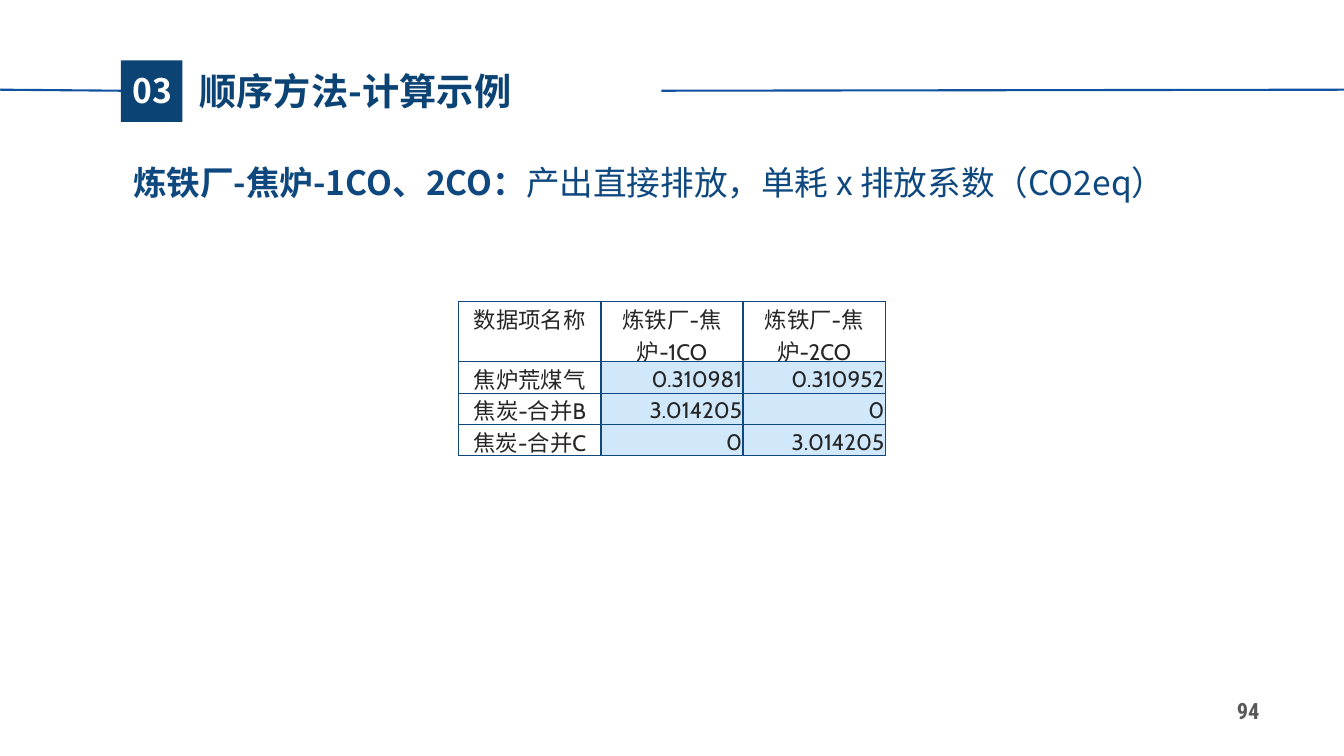
from lxml import etree
from pptx import Presentation
from pptx import util as u
from pptx.dml.color import RGBColor
from pptx.enum import shapes, text
from pptx.oxml import ns

WIDTH, HEIGHT = 13.33, 7.5
NAVY, INK, RULE, PALE = "0C4375", "0E487F", "1052A0", "D1E7FA"
CJK = "Noto Sans CJK SC"
LEFT, CENTER, RIGHT = text.PP_ALIGN.LEFT, text.PP_ALIGN.CENTER, text.PP_ALIGN.RIGHT
MIDDLE, TOP, BOTTOM = text.MSO_ANCHOR.MIDDLE, text.MSO_ANCHOR.TOP, text.MSO_ANCHOR.BOTTOM

HEADING = dict(size=26.6, name=CJK, color=NAVY, bold=True)
BADGE = dict(size=24, name=CJK, color="FFFFFF", bold=True)
LEAD = dict(size=24, name=CJK, color=INK, bold=True)
PAGE_NUMBER = dict(size=16, name="Roboto Condensed", color="595959", bold=True)
CELL = dict(size=16, name="Cabin", color="262626", bold=False)

RULES = [((0, 0.89), (1.2, 0.9)), ((6.56, 0.9), (WIDTH, 0.89))]
BADGE_SQUARE = (1.2, 0.6, 0.61, 0.61)
# place, runs, paragraph format, frame format
TEXTS = [
    ((12.07, 6.87, 0.62, 0.36), [("94", PAGE_NUMBER)],
     dict(alignment=CENTER), dict(vertical_anchor=MIDDLE)),
    ((1.88, 0.63, 3.6, 0.55), [("顺序方法-计算示例", HEADING)],
     dict(alignment=LEFT), dict(margin_right=0)),
    ((1.19, 0.64, 0.64, 0.5), [("03", BADGE)], dict(alignment=CENTER), {}),
    ((1.19, 1.34, 10.85, 0.67),
     [("炼铁厂-焦炉-1CO、2CO：", LEAD),
      ("产出直接排放，单耗 x 排放系数（CO2eq）", LEAD | dict(bold=False))],
     dict(alignment=LEFT, line_spacing=1.5),
     dict(margin_left=u.Inches(0.13), margin_right=u.Inches(0.13),
          margin_top=u.Inches(0.07), margin_bottom=u.Inches(0.07))),
]
EMISSIONS = [
    ("数据项名称", "炼铁厂-焦炉-1CO", "炼铁厂-焦炉-2CO"),
    ("焦炉荒煤气", "0.310981", "0.310952"),
    ("焦炭-合并B", "3.014205", "0"),
    ("焦炭-合并C", "0", "3.014205"),
]
TABLE_TOP, COLUMN, HEAD_ROW, BODY_ROW = 2.99, 1.41, 0.6, 0.31


def rgb(value):
    return RGBColor.from_string(value)


def inches(values):
    return [u.Inches(value) for value in values]


def assign(target, values):
    for name, value in values.items():
        setattr(target, name, value)


def add_span(para, words, style):
    """Add a run whose Latin and East Asian fonts are both set."""
    span = para.add_run()
    span.text = words
    assign(span.font, dict(size=u.Pt(style["size"]), name=style["name"], bold=style["bold"]))
    span.font.color.rgb = rgb(style["color"])
    etree.SubElement(span.font._element, ns.qn("a:ea"), typeface=CJK)


def add_text(page, place, spans, para_format, frame_format):
    frame = page.shapes.add_textbox(*inches(place)).text_frame
    assign(frame, dict(word_wrap=True) | frame_format)
    para = frame.paragraphs[0]
    assign(para, para_format)
    for words, style in spans:
        add_span(para, words, style)


def add_rule(page, start, end):
    rule = page.shapes.add_connector(shapes.MSO_CONNECTOR.STRAIGHT, *inches(start + end))
    rule.line.color.rgb = rgb(RULE)
    rule.line.width = u.Pt(1.5)
    etree.SubElement(rule._element.spPr, ns.qn("a:effectLst"))


def add_badge(page):
    badge = page.shapes.add_shape(shapes.MSO_SHAPE.RECTANGLE, *inches(BADGE_SQUARE))
    badge.shadow.inherit = False
    badge.fill.solid()
    badge.fill.fore_color.rgb = rgb(NAVY)
    badge.line.fill.background()


def add_borders(cell):
    """Put a 1 pt line on all four sides, ahead of the cell's fill."""
    props = cell._tc.get_or_add_tcPr()
    for place, side in enumerate(("lnL", "lnR", "lnT", "lnB")):
        line = etree.Element(ns.qn(f"a:{side}"), w=str(u.Pt(1)))
        fill = etree.SubElement(line, ns.qn("a:solidFill"))
        etree.SubElement(fill, ns.qn("a:srgbClr"), val=INK)
        props.insert(place, line)


def add_table(page):
    rows, columns = len(EMISSIONS), len(EMISSIONS[0])
    heights = [HEAD_ROW] + [BODY_ROW] * (rows - 1)
    width = COLUMN * columns
    place = ((WIDTH - width) / 2, TABLE_TOP, width, sum(heights))
    table = page.shapes.add_table(rows, columns, *inches(place)).table
    assign(table, dict(first_row=False, horz_banding=False))
    for column in table.columns:
        column.width = u.Inches(COLUMN)
    for r, (row, height) in enumerate(zip(table.rows, heights)):
        row.height = u.Inches(height)
        for c, cell in enumerate(row.cells):
            is_value = r > 0 and c > 0
            margin = u.Inches(0.01)
            assign(cell, dict(margin_left=margin, margin_right=margin, margin_top=margin,
                              margin_bottom=0, vertical_anchor=BOTTOM if is_value else TOP))
            if is_value:
                cell.fill.solid()
                cell.fill.fore_color.rgb = rgb(PALE)
            else:
                cell.fill.background()
            add_borders(cell)
            para = cell.text_frame.paragraphs[0]
            para.alignment = RIGHT if is_value else CENTER
            add_span(para, EMISSIONS[r][c], CELL)


def main():
    deck = Presentation()
    deck.slide_width, deck.slide_height = inches((WIDTH, HEIGHT))
    page = deck.slides.add_slide(deck.slide_layouts[6])
    for start, end in RULES:
        add_rule(page, start, end)
    add_badge(page)
    for item in TEXTS:
        add_text(page, *item)
    add_table(page)
    deck.save("out.pptx")


if __name__ == "__main__":
    main()
